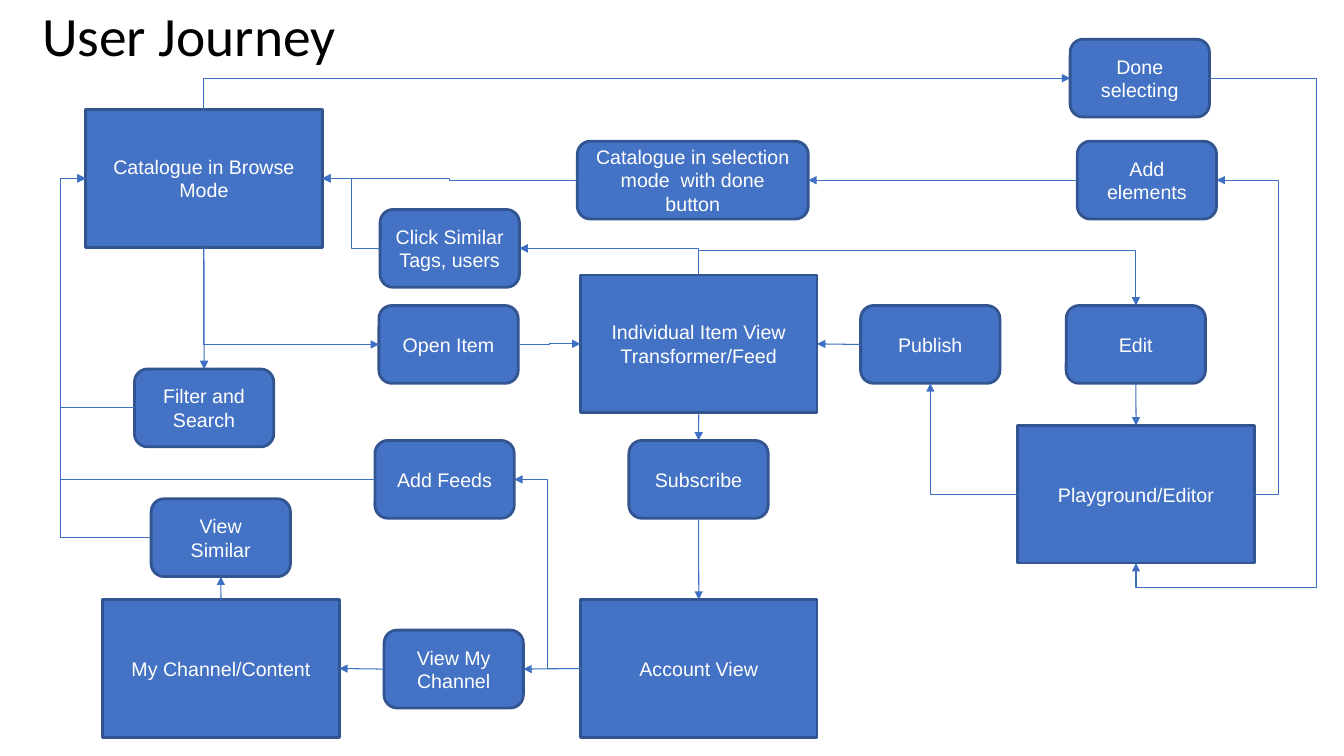
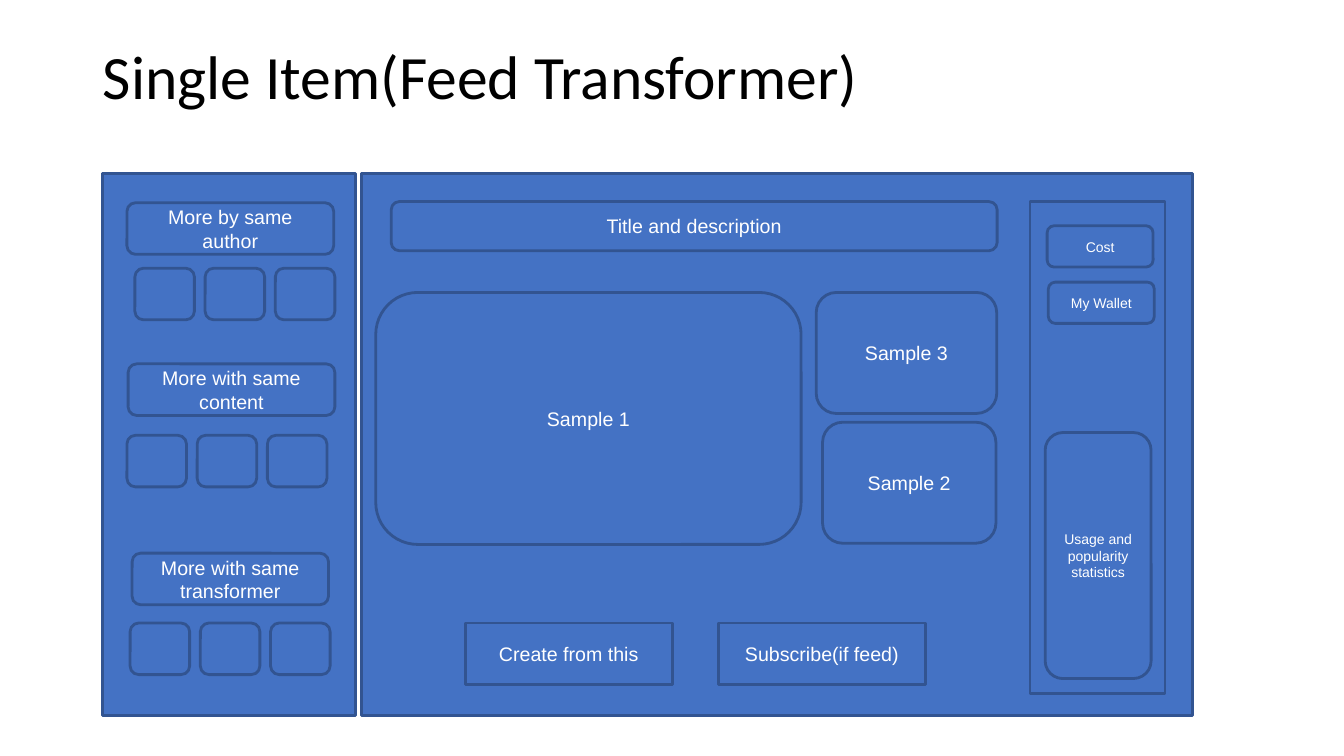
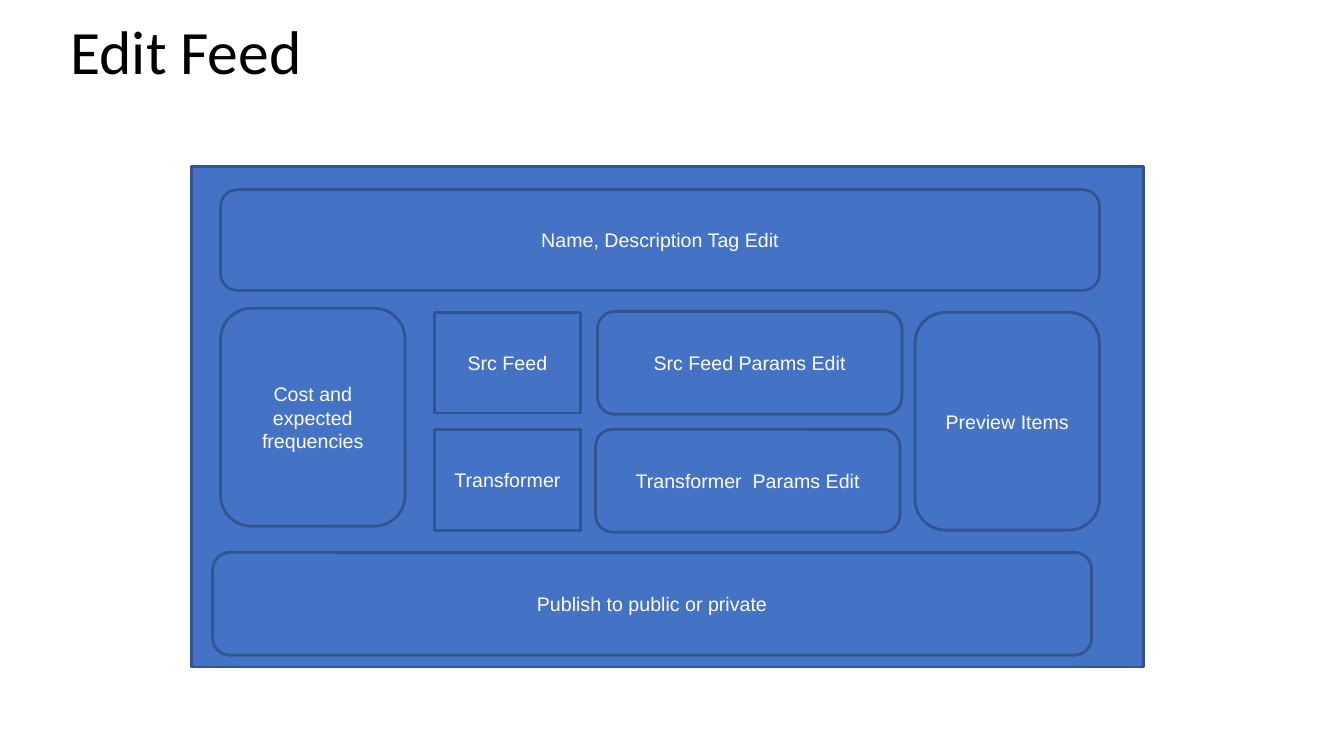
from lxml.etree import SubElement
from pptx import Presentation
from pptx.dml.color import RGBColor
from pptx.enum.shapes import MSO_CONNECTOR, MSO_SHAPE
from pptx.enum.text import MSO_ANCHOR, MSO_AUTO_SIZE, PP_ALIGN
from pptx.oxml.ns import qn
from pptx.util import Cm, Pt

COLORS = {
    "title": "000000",
    "fill": "4472C4",
    "outline": "325491",
    "arrow": "3F6FC3",
    "label": "FFFFFF",
}
TITLE_FONT, LABEL_FONT = "Calibri", "Arial"
RECT, ROUND = MSO_SHAPE.RECTANGLE, MSO_SHAPE.ROUNDED_RECTANGLE
SITES = {"top": 0, "left": 1, "bottom": 2, "right": 3}
SCREEN_SIZE = (5.96, 3.47)
STEP_SIZE = (3.51, 1.96)


def rgb(name):
    return RGBColor.from_string(COLORS[name])


def add_label(paragraph, text, font_name, size, color):
    run = paragraph.add_run()
    run.text = text
    run.font.name = font_name
    run.font.size = Pt(size)
    run.font.color.rgb = rgb(color)


def add_titled_slide(deck, text, box, size=44):
    slide = deck.slides.add_slide(deck.slide_layouts[5])
    title = slide.shapes.title
    title.left, title.top, title.width, title.height = map(Cm, box)
    frame = title.text_frame
    frame.word_wrap = True
    frame.auto_size = MSO_AUTO_SIZE.NONE
    frame.vertical_anchor = MSO_ANCHOR.MIDDLE
    paragraph = frame.paragraphs[0]
    paragraph.alignment = PP_ALIGN.LEFT
    paragraph.line_spacing = 0.9
    add_label(paragraph, text, TITLE_FONT, size, "title")
    return slide


def add_box(slide, kind, box, text="", size=14):
    """Add a block; each line of the text becomes a centred paragraph."""
    block = slide.shapes.add_shape(kind, *map(Cm, box))
    block.shadow.inherit = False
    block.fill.solid()
    block.fill.fore_color.rgb = rgb("fill")
    block.line.color.rgb = rgb("outline")
    block.line.width = Pt(2)
    if text:
        frame = block.text_frame
        frame.word_wrap = True
        frame.vertical_anchor = MSO_ANCHOR.MIDDLE
        for index, line in enumerate(text.split("\n")):
            paragraph = frame.add_paragraph() if index else frame.paragraphs[0]
            paragraph.alignment = PP_ALIGN.CENTER
            add_label(paragraph, line, LABEL_FONT, size, "label")
    return block


def add_arrow(slide, source, source_side, target, target_side, bent=False):
    kind = MSO_CONNECTOR.ELBOW if bent else MSO_CONNECTOR.STRAIGHT
    arrow = slide.shapes.add_connector(kind, 0, 0, 0, 0)
    arrow.begin_connect(source, SITES[source_side])
    arrow.end_connect(target, SITES[target_side])
    arrow.line.color.rgb = rgb("arrow")
    arrow.line.width = Pt(0.75)
    properties = arrow.element.spPr
    SubElement(properties.find(qn("a:ln")), qn("a:tailEnd"), type="triangle")
    SubElement(properties, qn("a:effectLst"))
    return arrow


def add_elbow(slide, source, source_side, target, target_side, lanes=()):
    """Add a bent arrow; lanes are the x or y positions, in turn, of its inner legs."""
    arrow = add_arrow(slide, source, source_side, target, target_side, bent=True)
    start = (arrow.begin_x, arrow.begin_y)
    end = (arrow.end_x, arrow.end_y)
    dx, dy = end[0] - start[0], end[1] - start[1]
    vertical = source_side in ("top", "bottom")
    parallel = vertical == (target_side in ("top", "bottom"))
    axis = 1 if vertical else 0

    if lanes:
        shares = []
        for index, lane in enumerate(lanes):
            along = (axis + index) % 2
            shares.append((Cm(lane) - start[along]) / (end[along] - start[along]))
    else:
        shares = [0.5] if parallel else []

    if vertical:
        turn, flip_h, flip_v = 270, dy > 0, dx < 0
        width, height = abs(dy), abs(dx)
    else:
        width, height = abs(dx), abs(dy)
        if source_side == "left":
            turn, flip_h, flip_v = 180, dx > 0, dy > 0
        else:
            turn, flip_h, flip_v = 0, dx < 0, dy < 0
    arrow.left = (start[0] + end[0] - width) // 2
    arrow.top = (start[1] + end[1] - height) // 2
    arrow.width, arrow.height = width, height

    frame = arrow.element.spPr.find(qn("a:xfrm"))
    frame.set("rot", str(turn * 60000))
    frame.set("flipH", str(int(flip_h)))
    frame.set("flipV", str(int(flip_v)))
    geometry = arrow.element.spPr.find(qn("a:prstGeom"))
    geometry.set("prst", f"bentConnector{len(shares) + 2}")
    guides = geometry.find(qn("a:avLst"))
    for number, share in enumerate(shares, 1):
        SubElement(guides, qn("a:gd"), name=f"adj{number}",
                   fmla=f"val {round(share * 100000)}")


def build_user_journey(deck):
    slide = add_titled_slide(deck, "User Journey", (0.81, 0.1, 8.05, 1.73), 39.6)

    def screen(left, top, text):
        return add_box(slide, RECT, (left, top, *SCREEN_SIZE), text)

    def step(left, top, text, width=STEP_SIZE[0]):
        return add_box(slide, ROUND, (left, top, width, STEP_SIZE[1]), text)

    catalogue = screen(2.16, 2.76, "Catalogue in Browse Mode")
    item = screen(14.63, 6.93, "Individual Item View\nTransformer/Feed")
    account = screen(14.63, 15.11, "Account View")
    editor = screen(25.65, 10.72, "Playground/Editor")
    channel = screen(2.59, 15.11, "My Channel/Content")

    search = step(3.39, 9.3, "Filter and Search")
    open_item = step(9.55, 7.7, "Open Item")
    click_similar = step(9.58, 5.28, "Click Similar\nTags, users")
    subscribe = step(15.85, 11.1, "Subscribe")
    add_feeds = step(9.45, 11.1, "Add Feeds")
    edit = step(26.87, 7.7, "Edit")
    publish = step(21.69, 7.7, "Publish")
    add_elements = step(27.15, 3.56, "Add elements")
    selection = step(14.55, 3.56, "Catalogue in selection mode  with done button", 5.82)
    done = step(26.97, 0.99, "Done selecting")
    view_channel = step(9.68, 15.88, "View My Channel")
    view_similar = step(3.81, 12.57, "View\nSimilar")

    for source, source_side, target, target_side in (
        (catalogue, "bottom", search, "top"),
        (item, "bottom", subscribe, "top"),
        (subscribe, "bottom", account, "top"),
        (edit, "bottom", editor, "top"),
        (add_elements, "left", selection, "right"),
        (publish, "left", item, "right"),
        (account, "left", view_channel, "right"),
        (view_channel, "left", channel, "right"),
        (channel, "top", view_similar, "bottom"),
    ):
        add_arrow(slide, source, source_side, target, target_side)

    for source, source_side, target, target_side, *lanes in (
        (item, "top", click_similar, "right"),
        (click_similar, "left", catalogue, "right"),
        (account, "left", add_feeds, "right"),
        (selection, "left", catalogue, "right"),
        (catalogue, "bottom", open_item, "left"),
        (open_item, "right", item, "left"),
        (editor, "left", publish, "bottom"),
        (catalogue, "top", done, "left"),
        (item, "top", edit, "top", 6.31),
        (editor, "right", add_elements, "right", 32.23),
        (done, "right", editor, "bottom", 33.17, 14.81),
        (search, "left", catalogue, "left", 1.53),
        (add_feeds, "left", catalogue, "left", 1.53),
        (view_similar, "left", catalogue, "left", 1.53),
    ):
        add_elbow(slide, source, source_side, target, target_side, lanes)


def add_suggestions(slide, text, heading, tiles):
    """Add a heading (left, top, width) and a row of three tiles (left, top)."""
    left, top, width = heading
    add_box(slide, ROUND, (left, top, width, 1.3), text)
    left, top = tiles
    for column in range(3):
        add_box(slide, ROUND, (left + column * 1.77, top, 1.5, 1.3))


def build_single_item(deck):
    slide = add_titled_slide(deck, "Single Item(Feed Transformer)",
                             (2.34, 1.02, 29.21, 1.96))
    add_box(slide, RECT, (2.59, 4.37, 6.38, 13.67))
    add_box(slide, RECT, (9.12, 4.37, 20.93, 13.67))
    add_box(slide, ROUND, (9.86, 5.08, 15.27, 1.24), "Title and description")
    add_box(slide, ROUND, (9.47, 7.37, 10.72, 6.35), "Sample 1")
    add_box(slide, ROUND, (20.73, 10.64, 4.37, 3.05), "Sample 2")
    add_box(slide, ROUND, (20.57, 7.37, 4.55, 3.05), "Sample 3")

    for text, heading, tiles in (
        ("More by same author", (3.2, 5.11, 5.21), (3.4, 6.76)),
        ("More with same content", (3.23, 9.17, 5.21), (3.2, 10.97)),
        ("More with same transformer", (3.33, 13.94, 4.95), (3.28, 15.7)),
    ):
        add_suggestions(slide, text, heading, tiles)

    for left, text in ((11.73, "Create from this"), (18.11, "Subscribe(if feed)")):
        add_box(slide, RECT, (left, 15.7, 5.21, 1.55), text)

    add_box(slide, RECT, (25.96, 5.08, 3.4, 12.4))
    for left, top, height, text in (
        (26.39, 5.69, 1.04, "Cost"),
        (26.34, 10.9, 6.2, "Usage and popularity statistics"),
        (26.42, 7.11, 1.04, "My Wallet"),
    ):
        add_box(slide, ROUND, (left, top, 2.67, height), text, 10)


def build_edit_feed(deck):
    slide = add_titled_slide(deck, "Edit Feed", (1.52, 0, 29.21, 2.77))
    add_box(slide, RECT, (4.83, 4.19, 23.98, 12.62))
    for kind, box, text in (
        (RECT, (10.95, 7.87, 3.68, 2.54), "Src Feed"),
        (ROUND, (15.06, 7.85, 7.67, 2.59), "Src Feed Params Edit"),
        (RECT, (10.95, 10.82, 3.68, 2.54), "Transformer"),
        (ROUND, (15.01, 10.82, 7.67, 2.59), "Transformer  Params Edit"),
        (ROUND, (5.56, 4.78, 22.15, 2.54), "Name, Description Tag Edit"),
        (ROUND, (23.06, 7.87, 4.65, 5.49), "Preview Items"),
        (ROUND, (5.36, 13.92, 22.15, 2.59), "Publish to public or private"),
        (ROUND, (5.56, 7.77, 4.65, 5.49), "Cost and expected frequencies"),
    ):
        add_box(slide, kind, box, text)


def main():
    deck = Presentation()
    deck.slide_width, deck.slide_height = Cm(33.87), Cm(19.05)
    build_user_journey(deck)
    build_single_item(deck)
    build_edit_feed(deck)
    deck.save("out.pptx")


if __name__ == "__main__":
    main()
